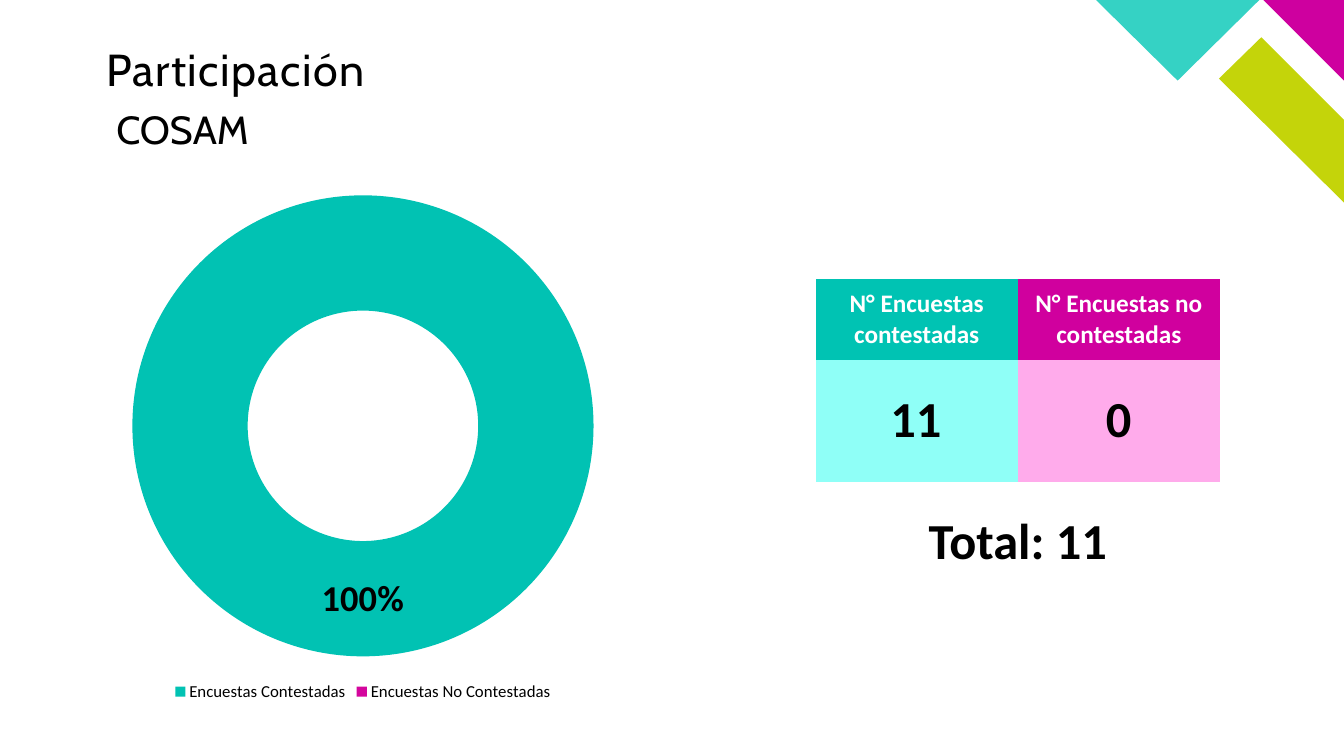
"""Build the participation slide with a doughnut chart, a table and a total."""
from dataclasses import dataclass, field
from typing import Any

from pptx import Presentation
from pptx import util as u
from pptx.chart.data import CategoryChartData
from pptx.dml.color import RGBColor
from pptx.enum import chart as charts
from pptx.enum import text
from pptx.oxml.ns import qn

WHITE = RGBColor(0xFF, 0xFF, 0xFF)
BLACK = RGBColor(0x00, 0x00, 0x00)
LIME = RGBColor(0xC4, 0xD4, 0x0A)
CORNER_MAGENTA = RGBColor(0xCE, 0x00, 0x9F)
CORNER_TEAL = RGBColor(0x35, 0xD2, 0xC4)
HEAD_TEAL = RGBColor(0x00, 0xC3, 0xB3)
HEAD_MAGENTA = RGBColor(0xD0, 0x00, 0x9E)
PALE_TEAL = RGBColor(0x8F, 0xFF, 0xF7)
PALE_PINK = RGBColor(0xFF, 0xAB, 0xEB)
SLICE_TEAL = RGBColor(0x01, 0xC2, 0xB3)
SLICE_MAGENTA = RGBColor(0xD4, 0x06, 0x9D)

COLUMNS, ROWS = 133.3, 75
WIDTH, HEIGHT = u.Inches(13.33), u.Inches(7.5)
NO_STYLE = "{2D5ABB26-0587-4C30-8999-92F81FD0307C}"

HEADING = {"name": "Calibri", "size": u.Pt(18), "bold": True}
FIGURE = {"name": "Calibri", "size": u.Pt(36), "bold": True}
LEGEND = {"name": "Calibri", "size": u.Pt(12)}
SHARE = {"name": "Calibri", "size": u.Pt(26), "bold": True}
MIDDLE = {"vertical_anchor": text.MSO_ANCHOR.MIDDLE}
CENTRED = {"alignment": text.PP_ALIGN.CENTER, "line_spacing": 0.9}
NO_MARGINS = dict.fromkeys(
    ("margin_left", "margin_top", "margin_right", "margin_bottom"), 0)


@dataclass(frozen=True)
class Area:
    """A rectangle in grid columns and rows."""
    column: float
    row: float
    columns: float
    rows: float

    def emu(self) -> tuple[int, int, int, int]:
        """Return left, top, width and height."""
        return (across(self.column), down(self.row),
                across(self.columns), down(self.rows))


@dataclass(frozen=True)
class CornerShape:
    """A coloured polygon in the top right corner."""
    color: RGBColor
    points: tuple[tuple[float, float], ...]


@dataclass(frozen=True)
class Label:
    """A one-paragraph text box."""
    wording: str
    area: Area
    font: dict[str, Any]
    frame: dict[str, Any] = field(default_factory=dict)
    paragraph: dict[str, Any] = field(
        default_factory=lambda: {"line_spacing": 0.9})
    tracking: int = 0


@dataclass(frozen=True)
class Answer:
    """One table column with its chart slice."""
    heading: str
    head_color: RGBColor
    body_color: RGBColor
    category: str
    share: int
    slice_color: RGBColor


CORNER = (
    CornerShape(LIME, ((COLUMNS, 20.1), (COLUMNS, 11.9), (125.1, 3.7),
                       (120.9, 7.8))),
    CornerShape(CORNER_MAGENTA, ((COLUMNS, 8), (COLUMNS, 0), (125.3, 0))),
    CornerShape(CORNER_TEAL, ((108.7, 0), (116.8, 8), (124.9, 0))),
)
LABELS = (
    Label("Participación", Area(10.55, 4.75, 56.1, 6.7),
          {"name": "Cabin", "size": u.Pt(32)}, NO_MARGINS, tracking=100),
    Label("11", Area(80.9, 35.7, 19.9, 12.1), FIGURE, MIDDLE, CENTRED),
    Label("0", Area(101, 35.7, 19.9, 12.1), FIGURE, MIDDLE, CENTRED),
    Label("Total: 11", Area(80.9, 47.8, 40.1, 12.1), FIGURE, MIDDLE, CENTRED),
    Label("COSAM", Area(10.55, 10.5, 97.8, 9.6),
          {"name": "Cabin", "size": u.Pt(28)}),
)
ANSWERS = (
    Answer("N° Encuestas contestadas", HEAD_TEAL, PALE_TEAL,
           "Encuestas Contestadas", 1, SLICE_TEAL),
    Answer("N° Encuestas no contestadas", HEAD_MAGENTA, PALE_PINK,
           "Encuestas No Contestadas", 0, SLICE_MAGENTA),
)
TABLE_AREA = Area(80.9, 27.7, 40.1, 20.1)
TABLE_ROWS = (8, 12.1)
CHART_AREA = Area(10, 18, 52, 52)


def across(columns: float) -> int:
    """Turn grid columns into a length."""
    return round(WIDTH * columns / COLUMNS)


def down(rows: float) -> int:
    """Turn grid rows into a length."""
    return round(HEIGHT * rows / ROWS)


def apply(target: Any, values: dict[str, Any]) -> None:
    """Set each named attribute of the target."""
    for name, value in values.items():
        setattr(target, name, value)


def set_font(font: Any, values: dict[str, Any], color: RGBColor) -> None:
    """Set font attributes and colour."""
    apply(font, values)
    font.color.rgb = color


def set_fill(fill: Any, color: RGBColor) -> None:
    """Make a fill solid in one colour."""
    fill.solid()
    fill.fore_color.rgb = color


def draw_corner(slide: Any, corner: CornerShape) -> None:
    """Draw one corner polygon."""
    start, *others = [(across(x), down(y)) for x, y in corner.points]
    builder = slide.shapes.build_freeform(*start)
    builder.add_line_segments(others, close=True)
    shape = builder.convert_to_shape()
    shape.shadow.inherit = False
    set_fill(shape.fill, corner.color)
    shape.line.fill.background()


def draw_label(slide: Any, label: Label) -> None:
    """Draw one text box."""
    frame = slide.shapes.add_textbox(*label.area.emu()).text_frame
    apply(frame, {"word_wrap": True, **label.frame})
    paragraph = frame.paragraphs[0]
    apply(paragraph, label.paragraph)
    run = paragraph.add_run()
    run.text = label.wording
    set_font(run.font, label.font, BLACK)
    if label.tracking:
        run._r.get_or_add_rPr().set("spc", str(label.tracking))


def draw_table(slide: Any) -> None:
    """Draw the coloured table with its headings."""
    table = slide.shapes.add_table(
        len(TABLE_ROWS), len(ANSWERS), *TABLE_AREA.emu()).table
    table._tbl.tblPr.find(qn("a:tableStyleId")).text = NO_STYLE
    for row, height in zip(table.rows, TABLE_ROWS):
        row.height = down(height)
    for index, answer in enumerate(ANSWERS):
        head = table.cell(0, index)
        apply(head, MIDDLE)
        set_fill(head.fill, answer.head_color)
        set_fill(table.cell(1, index).fill, answer.body_color)
        paragraph = head.text_frame.paragraphs[0]
        paragraph.alignment = text.PP_ALIGN.CENTER
        run = paragraph.add_run()
        run.text = answer.heading
        set_font(run.font, HEADING, WHITE)


def draw_chart(slide: Any) -> None:
    """Draw the doughnut of answer shares."""
    data = CategoryChartData(number_format="0%")
    data.categories = [answer.category for answer in ANSWERS]
    data.add_series("Series 1", [answer.share for answer in ANSWERS])
    chart = slide.shapes.add_chart(
        charts.XL_CHART_TYPE.DOUGHNUT, *CHART_AREA.emu(), data).chart
    apply(chart, {"has_title": False, "has_legend": True})
    apply(chart.legend, {"position": charts.XL_LEGEND_POSITION.BOTTOM,
                         "include_in_layout": False})
    set_font(chart.font, HEADING | {"bold": False}, WHITE)
    set_font(chart.legend.font, LEGEND, BLACK)
    series = chart.plots[0].series[0]
    series.data_labels.show_value = False
    for index, answer in enumerate(ANSWERS):
        point = series.points[index]
        set_fill(point.format.fill, answer.slice_color)
        point.format.line.fill.background()
        if answer.share:
            set_font(point.data_label.font, SHARE, BLACK)


def main() -> None:
    """Build and save the presentation."""
    presentation = Presentation()
    apply(presentation, {"slide_width": WIDTH, "slide_height": HEIGHT})
    slide = presentation.slides.add_slide(presentation.slide_layouts[6])
    set_fill(slide.background.fill, WHITE)
    for corner in CORNER:
        draw_corner(slide, corner)
    draw_table(slide)
    for label in LABELS:
        draw_label(slide, label)
    draw_chart(slide)
    presentation.save("out.pptx")


if __name__ == "__main__":
    main()
